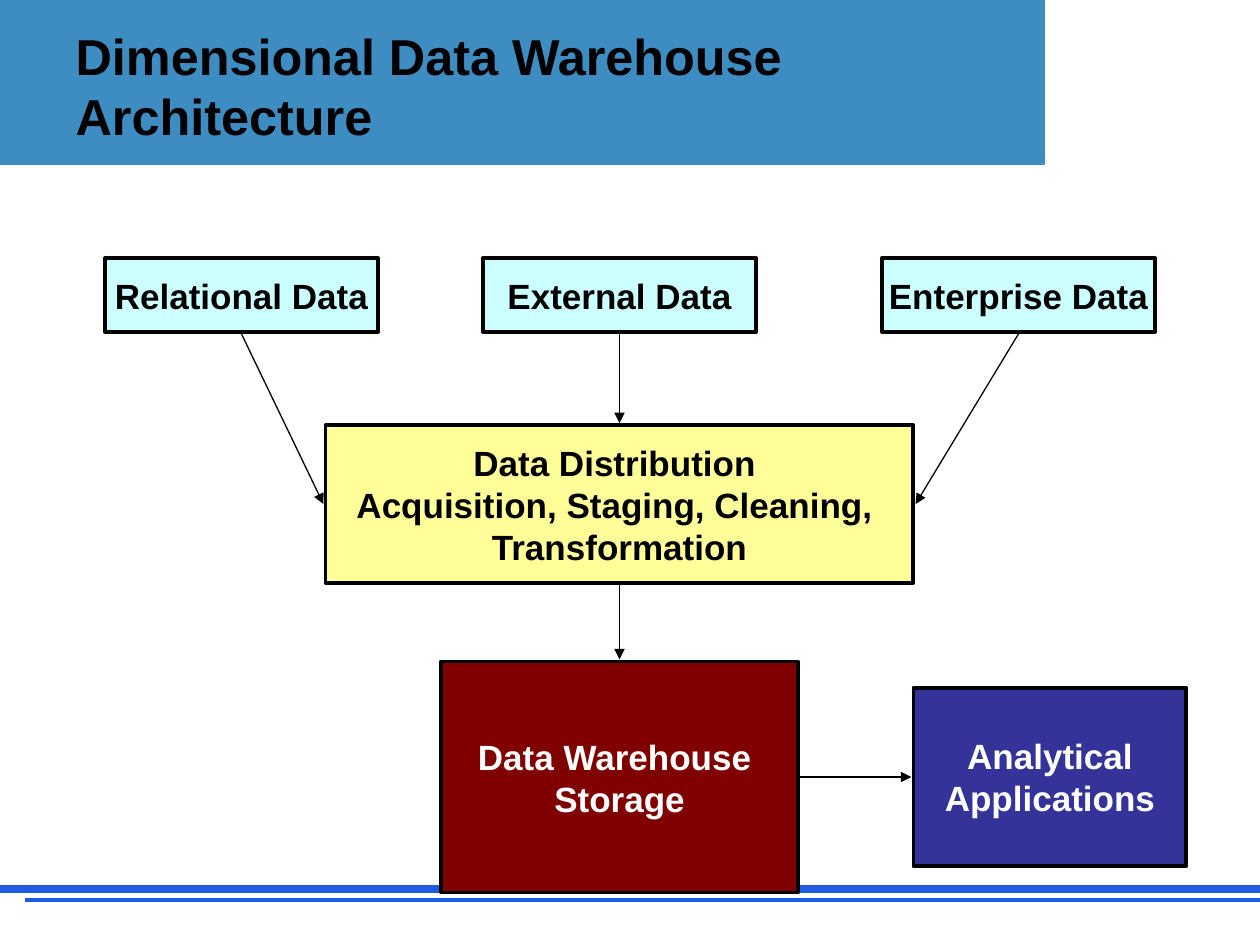
from dataclasses import dataclass

from lxml import etree
from pptx import Presentation
from pptx import util as u
from pptx.dml.color import RGBColor
from pptx.enum import shapes, text
from pptx.oxml.ns import qn


@dataclass(frozen=True)
class Theme:
    font: str = "Arial"
    title_size: float = 28.8
    box_size: float = 20
    border: float = 2.25
    arrow: float = 0.75
    black: str = "000000"
    white: str = "FFFFFF"
    header: str = "3D8DC3"
    rule: str = "1E5BE2"
    source: str = "CCFFFF"
    staging: str = "FFFF99"
    storage: str = "800000"
    analytics: str = "333399"


T = Theme()
WIDTH, HEIGHT = u.Inches(10), u.Inches(7.5)
COLS, ROWS = 120, 90
GAP = 0.2  # cells between a box edge and an arrow end


def x(col):
    return round(WIDTH * col / COLS)


def y(row):
    return round(HEIGHT * row / ROWS)


def style_text(tf, size, color):
    for p in tf.paragraphs:
        for r in p.runs:
            r.font.name, r.font.size, r.font.bold = T.font, u.Pt(size), True
            r.font.color.rgb = RGBColor.from_string(color)


def add_rect(s, cell, fill, border=None, width=T.border):
    """Draw a rectangle; cell is (column, row, columns, rows)."""
    col, row, cols, rows = cell
    sp = s.shapes.add_shape(shapes.MSO_SHAPE.RECTANGLE,
                            x(col), y(row), x(cols), y(rows))
    sp.shadow.inherit = False
    sp.fill.solid()
    sp.fill.fore_color.rgb = RGBColor.from_string(fill)
    if border:
        sp.line.color.rgb = RGBColor.from_string(border)
        sp.line.width = u.Pt(width)
    else:
        sp.line.fill.background()
    return sp


def add_box(s, cell, label, fill, color=T.black):
    tf = add_rect(s, cell, fill, T.black).text_frame
    tf.word_wrap = False
    tf.vertical_anchor = text.MSO_ANCHOR.MIDDLE
    tf.text = label
    for p in tf.paragraphs:
        p.alignment = text.PP_ALIGN.CENTER
    style_text(tf, T.box_size, color)


def add_line(s, start, end, color, width):
    ln = s.shapes.add_connector(shapes.MSO_CONNECTOR.STRAIGHT,
                                x(start[0]), y(start[1]), x(end[0]), y(end[1]))
    ln.line.color.rgb = RGBColor.from_string(color)
    ln.line.width = u.Pt(width)
    etree.SubElement(ln._element.spPr, qn("a:effectLst"))
    return ln


def add_arrow(s, start, end):
    ln = add_line(s, start, end, T.black, T.arrow)
    etree.SubElement(ln.line._get_or_add_ln(), qn("a:tailEnd"), type="triangle")


def side(cell, dx, dy):
    """Return the point just outside the middle of one side of a cell."""
    col, row, cols, rows = cell
    return (col + cols / 2 + dx * (cols / 2 + GAP),
            row + rows / 2 + dy * (rows / 2 + GAP))


def add_frame(s):
    add_rect(s, (0, 0, COLS, 15.7), T.header)
    add_line(s, (0, 84.7), (COLS, 84.7), T.rule, 4.5)
    add_line(s, (2.4, 85.7), (COLS, 85.7), T.rule, 2.25)
    add_rect(s, (99.7, 0, 20.3, 16.7), T.white, T.white, 2)


def add_title(s, label):
    sp = s.shapes.title
    s.shapes._spTree.append(sp._element)  # in front of the header band
    sp.left, sp.top, sp.width, sp.height = x(6), y(1.6), x(82.3), y(13)
    tf = sp.text_frame
    tf.word_wrap = True
    tf.vertical_anchor = text.MSO_ANCHOR.MIDDLE
    tf.text = label
    tf.paragraphs[0].alignment = text.PP_ALIGN.LEFT
    style_text(tf, T.title_size, T.black)


def main():
    prs = Presentation()
    prs.slide_width, prs.slide_height = WIDTH, HEIGHT
    s = prs.slides.add_slide(prs.slide_layouts[5])
    add_frame(s)
    add_title(s, "Dimensional Data Warehouse Architecture")

    staging = (31, 40.5, 56, 15)
    storage = (42, 63, 34, 22)
    analytics = (87, 65.5, 26, 17)
    sources = [("Relational Data", 10, (-1, 0)),
               ("External Data", 46, (0, -1)),
               ("Enterprise Data", 84, (1, 0))]

    for label, col, target in sources:
        cell = (col, 24.6, 26, 7)
        add_box(s, cell, label, T.source)
        add_arrow(s, side(cell, 0, 1), side(staging, *target))

    add_box(s, staging, "Data Distribution \nAcquisition, Staging, Cleaning, \n"
            "Transformation", T.staging)
    add_box(s, storage, "Data Warehouse \nStorage", T.storage, T.white)
    add_box(s, analytics, "Analytical\nApplications", T.analytics, T.white)
    add_arrow(s, side(staging, 0, 1), side(storage, 0, -1))
    add_arrow(s, side(storage, 1, 0), side(analytics, -1, 0))
    prs.save("out.pptx")


if __name__ == "__main__":
    main()
